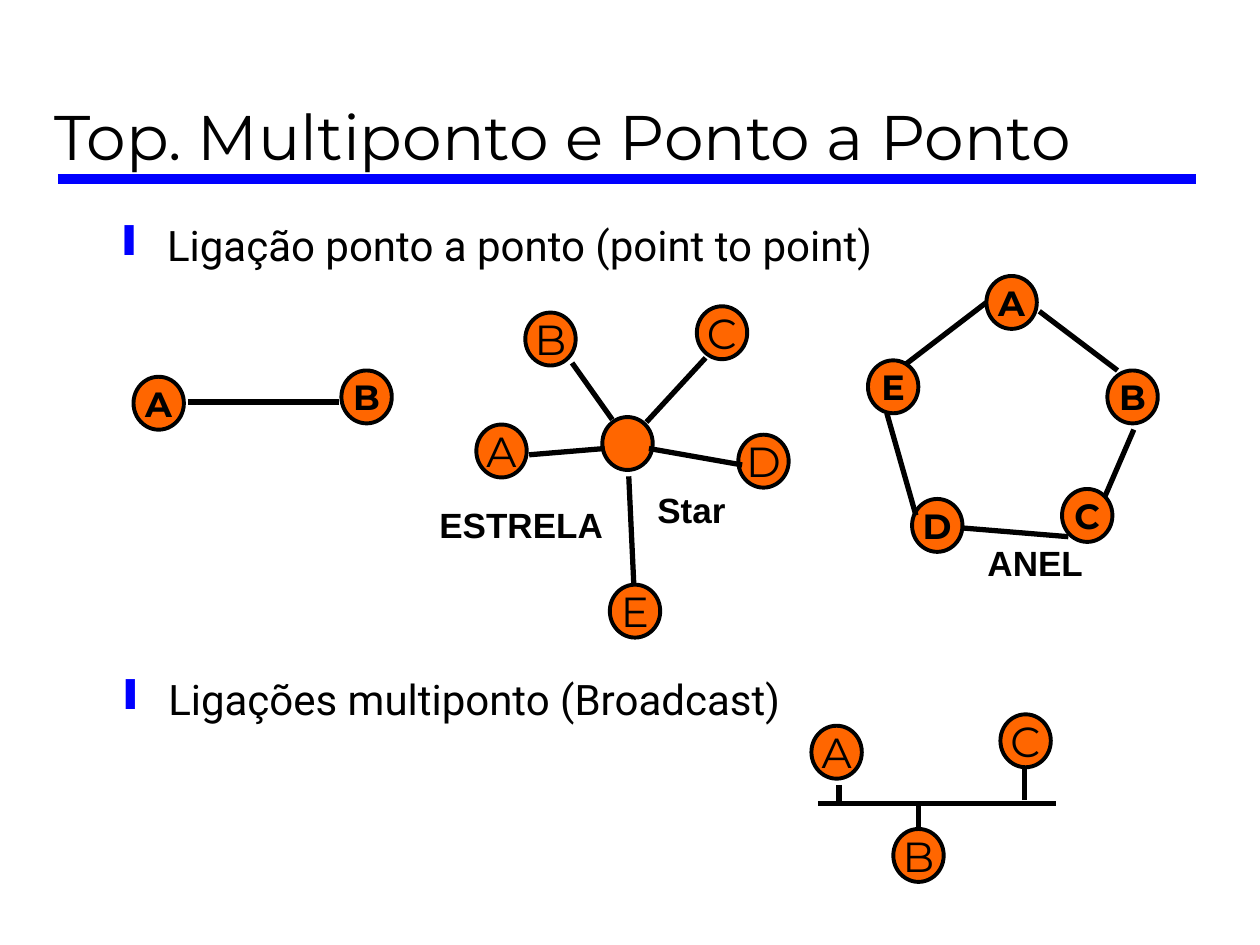
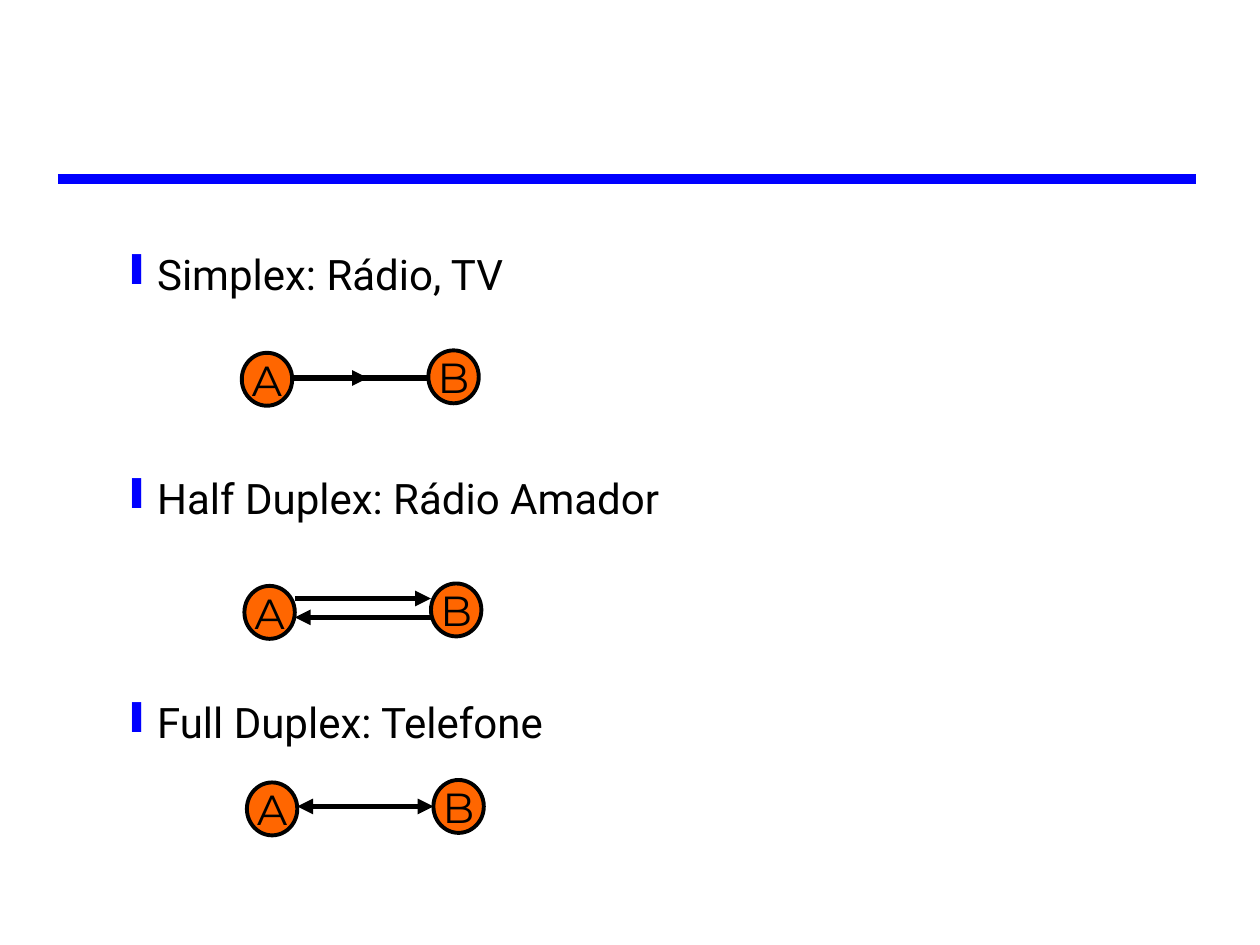
"""Two slides on network topologies and transmission modes."""
from lxml import etree
from pptx import Presentation, util as u
from pptx.dml import color as col
from pptx.enum import shapes, text
from pptx.oxml import ns

INK = {"black": "000000", "blue": "0000FF", "orange": "FF6600"}
NODE = (28.8, 30.24)


def rgb(name):
    return col.RGBColor.from_string(INK[name])


def style(para, font, size, bold=False):
    para.font.name = font
    para.font.size = u.Pt(size)
    para.font.bold = bold
    para.font.color.rgb = rgb("black")


def line(slide, start, end, ink="black", width=3, heads=()):
    ends = [u.Pt(v) for v in (*start, *end)]
    wire = slide.shapes.add_connector(shapes.MSO_CONNECTOR.STRAIGHT, *ends)
    wire.line.color.rgb = rgb(ink)
    wire.line.width = u.Pt(width)
    props = wire.line._get_or_add_ln()
    for head in heads:
        etree.SubElement(props, ns.qn("a:" + head), type="triangle")
    etree.SubElement(wire._element.spPr, ns.qn("a:effectLst"))


def lines(slide, x, y, pairs):
    for (ax, ay), (bx, by) in pairs:
        line(slide, (x + ax, y + ay), (x + bx, y + by))


def node(slide, x, y, name, size, bold):
    box = [u.Pt(v) for v in (x, y, *NODE)]
    disc = slide.shapes.add_shape(shapes.MSO_SHAPE.OVAL, *box)
    disc.shadow.inherit = False
    disc.fill.solid()
    disc.fill.fore_color.rgb = rgb("orange")
    disc.line.color.rgb = rgb("black")
    disc.line.width = u.Pt(2.25)
    if name:
        frame = disc.text_frame
        frame.word_wrap = False
        frame.vertical_anchor = text.MSO_ANCHOR.MIDDLE
        para = frame.paragraphs[0]
        para.text = name
        para.alignment = text.PP_ALIGN.CENTER
        style(para, "Montserrat", size, bold)


def nodes(slide, x, y, spots, size=24, bold=False):
    for name, dx, dy in spots:
        node(slide, x + dx, y + dy, name, size, bold)


def frame(slide, x, y, w, h, wrap=True):
    box = slide.shapes.add_textbox(*[u.Pt(v) for v in (x, y, w, h)])
    box.text_frame.word_wrap = wrap
    return box.text_frame


def label(slide, x, y, w, words):
    para = frame(slide, x, y, w, 31, False).paragraphs[0]
    para.text = words
    style(para, "Arial", 20, True)


def bullets(slide, x, y, w, h, items, indent, gap=0):
    body = frame(slide, x, y, w, h)
    for i, item in enumerate(items):
        para = body.add_paragraph() if i else body.paragraphs[0]
        para.text = item
        para.line_spacing = 0.9
        if i:
            para.space_before = u.Pt(gap)
        props = para._p.get_or_add_pPr()
        props.set("marL", str(u.Pt(indent)))
        props.set("indent", str(-u.Pt(indent)))
        tint = etree.SubElement(props, ns.qn("a:buClr"))
        etree.SubElement(tint, ns.qn("a:srgbClr"), val=INK["blue"])
        etree.SubElement(props, ns.qn("a:buChar"), char="❙")
        style(para, "Roboto", 24)


def base(deck, title=None):
    slide = deck.slides.add_slide(deck.slide_layouts[6])
    line(slide, (33.1, 102.2), (683.3, 102.2), "blue", 6)
    if title:
        head = frame(slide, 23.8, 12.2, 673.2, 90)
        head.vertical_anchor = text.MSO_ANCHOR.BOTTOM
        head.paragraphs[0].text = title
        style(head.paragraphs[0], "Montserrat", 36)
    return slide


def pair(slide, x, y):
    nodes(slide, x, y, [("A", 0, 3.6), ("B", 118.8, 0)], 20, True)
    lines(slide, x, y, [((31, 18), (117.4, 18))])


def star(slide, x, y):
    nodes(slide, x, y, [
        ("B", 56.2, 3.6), ("A", 28.2, 67.6), ("", 100.2, 63.3),
        ("E", 104.5, 159.1), ("C", 154.2, 0), ("D", 177.9, 73.4)])
    lines(slide, x, y, [
        ((82.9, 32.4), (105.9, 64.8)), ((58.4, 84.9), (101.6, 81.3)),
        ((159.2, 29.5), (125.4, 66.2)), ((180.1, 90.7), (126.8, 81.3)),
        ((115.3, 97.2), (118.2, 159.1))])
    label(slide, x + 124.6, y + 100.8, 53.3, "Star")
    label(slide, x, y + 109.4, 108, "ESTRELA")


def ring(slide, x, y):
    nodes(slide, x, y, [
        ("A", 67.7, 0), ("E", 0, 48.2), ("B", 136.8, 54),
        ("D", 25.2, 127.4), ("C", 110.9, 121.7)], 20, True)
    lines(slide, x, y, [
        ((21.6, 50.4), (67.7, 15.1)), ((97.9, 20.2), (142.6, 54)),
        ((151.9, 87.8), (135.4, 126)), ((114.5, 149), (54, 144)),
        ((27.4, 136.8), (10.8, 78.5))])
    label(slide, x + 61.2, y + 148.3, 69, "ANEL")


def bus(slide, x, y):
    nodes(slide, x, y, [("A", 0, 6.5), ("B", 46.8, 65.5), ("C", 108, 0)])
    lines(slide, x, y, [
        ((3.6, 51.1), (139.7, 51.1)), ((15.8, 40.3), (15.8, 50.4)),
        ((61.2, 65.5), (61.2, 50.4)), ((121.7, 49), (121.7, 31))])


def mode(slide, x, y, wires):
    for start, end, dy, heads in wires:
        line(slide, (x + start, y + dy), (x + end, y + dy), heads=heads)
    nodes(slide, x, y, [("A", 0, 1.4), ("B", 106.6, 0)])


def layouts(deck):
    slide = base(deck, "Top. Multiponto e Ponto a Ponto")
    bullets(slide, 63.4, 125.3, 454.3, 33.1,
            ["Ligação ponto a ponto (point to point)"], 25)
    star(slide, 244, 175)
    pair(slide, 76.3, 211.7)
    ring(slide, 496, 157.7)
    bullets(slide, 64.1, 384.5, 391, 33.1,
            ["Ligações multiponto (Broadcast)"], 25)
    bus(slide, 463.7, 408.2)


def modes(deck):
    slide = base(deck)
    bullets(slide, 67.7, 141.8, 563, 288.7, [
        "Simplex: Rádio, TV", "Half Duplex: Rádio Amador",
        "Full Duplex: Telefone"], 15, 102)
    near, far = NODE[0], 106.6
    mode(slide, 138.2, 200.2, [
        (near, 72, 15.8, ["tailEnd"]), (68.4, 111.6, 15.8, [])])
    mode(slide, 139.7, 333.4, [
        (near, far, 8.6, ["tailEnd"]), (far, near, 19.4, ["tailEnd"])])
    mode(slide, 141.1, 445.7, [(far, near, 15.1, ["headEnd", "tailEnd"])])


def main():
    deck = Presentation()
    deck.slide_width, deck.slide_height = u.Pt(720), u.Pt(540)
    layouts(deck)
    modes(deck)
    deck.save("out.pptx")


if __name__ == "__main__":
    main()
